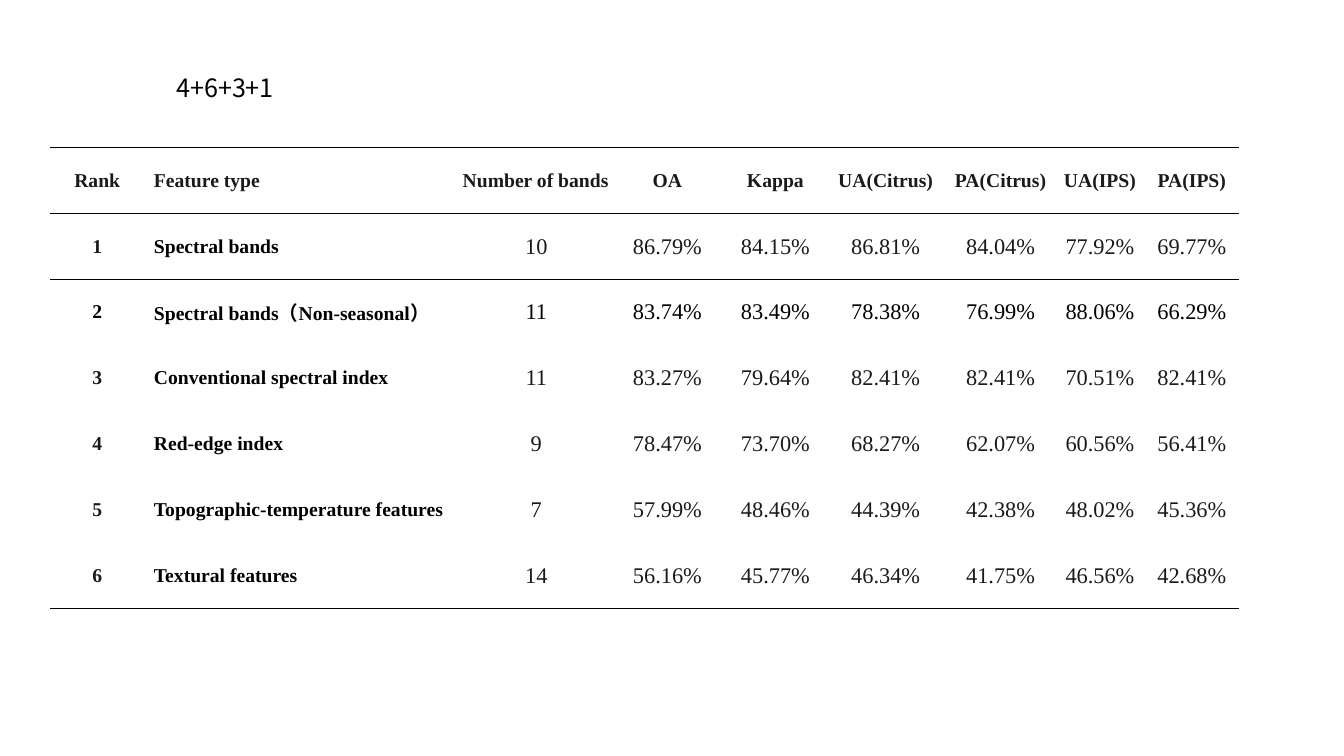
"""Build the slide that ranks feature types by classification accuracy."""
from lxml import etree
from pptx import Presentation
from pptx.dml.color import RGBColor
from pptx.enum.text import MSO_ANCHOR, PP_ALIGN
from pptx.oxml.ns import qn
from pptx.util import Cm, Pt

MIDDLE = MSO_ANCHOR.MIDDLE
LEFT, CENTER = PP_ALIGN.LEFT, PP_ALIGN.CENTER
SERIF, SANS = "Times New Roman", "Noto Sans CJK SC"
BLACK, DARK = "000000", "1A1A1A"
NO_STYLE = "{2D5ABB26-0587-4C30-8999-92F81FD0307C}"

COL_WIDTHS = [2.36, 8.03, 3.71, 2.9, 2.54, 3.02, 2.77, 2.24, 2.39]
ROW_HEIGHT = 1.66
FEATURE_COL, BANDS_COL = 1, 2
BLACK_ROW = 2
ROWS = [
    ["Rank", "Feature type", "Number of bands", "OA", "Kappa",
     "UA(Citrus)", "PA(Citrus)", "UA(IPS)", "PA(IPS)"],
    ["1", "Spectral bands", "10", "86.79%", "84.15%",
     "86.81%", "84.04%", "77.92%", "69.77%"],
    ["2", "Spectral bands（Non-seasonal）", "11", "83.74%", "83.49%",
     "78.38%", "76.99%", "88.06%", "66.29%"],
    ["3", "Conventional spectral index", "11", "83.27%", "79.64%",
     "82.41%", "82.41%", "70.51%", "82.41%"],
    ["4", "Red-edge index", "9", "78.47%", "73.70%",
     "68.27%", "62.07%", "60.56%", "56.41%"],
    ["5", "Topographic-temperature features", "7", "57.99%", "48.46%",
     "44.39%", "42.38%", "48.02%", "45.36%"],
    ["6", "Textural features", "14", "56.16%", "45.77%",
     "46.34%", "41.75%", "46.56%", "42.68%"],
]


def rgb(value):
    """Return the colour for a hex string."""
    return RGBColor.from_string(value)


def add_run(p, text, size, font, color, bold=False):
    """Add one formatted run to a paragraph."""
    r = p.add_run()
    r.text = text
    r.font.size = Pt(size)
    r.font.name = font
    r.font.bold = bold
    r.font.color.rgb = rgb(color)


def add_text(s, x, y, w, h, text):
    """Add a text box holding one line."""
    tf = s.shapes.add_textbox(Cm(x), Cm(y), Cm(w), Cm(h)).text_frame
    tf.word_wrap = True
    add_run(tf.paragraphs[0], text, 18, SANS, BLACK)


def add_rule(cell, side):
    """Draw a thin black border on one side of a cell."""
    ln = etree.SubElement(cell._tc.get_or_add_tcPr(), qn(f"a:{side}"),
                          w=str(Pt(1)))
    fill = etree.SubElement(ln, qn("a:solidFill"))
    etree.SubElement(fill, qn("a:srgbClr"), val=BLACK)


def fill_cell(cell, row, col, text):
    """Write and format one table cell according to its place."""
    header, feature = row == 0, col == FEATURE_COL
    bold = header or col <= FEATURE_COL
    black = row == BLACK_ROW or (feature and not header)
    cell.vertical_anchor = MIDDLE
    cell.margin_top = cell.margin_bottom = Cm(0)
    cell.margin_left = cell.margin_right = Cm(0.25 if feature else 0)
    if row <= 1:
        add_rule(cell, "lnT")
    if row in (0, len(ROWS) - 1):
        add_rule(cell, "lnB")
    cell.fill.background()
    p = cell.text_frame.paragraphs[0]
    p.alignment = LEFT if feature or (header and col == BANDS_COL) else CENTER
    add_run(p, text, 14 if bold else 16, SERIF, BLACK if black else DARK, bold)


def add_accuracy_table(s, x, y):
    """Add the ranking table with its three horizontal rules."""
    frame = s.shapes.add_table(len(ROWS), len(COL_WIDTHS), Cm(x), Cm(y),
                               Cm(sum(COL_WIDTHS)), Cm(ROW_HEIGHT * len(ROWS)))
    table = frame.table
    table.first_row = table.horz_banding = False
    table._tbl.tblPr.find(qn("a:tableStyleId")).text = NO_STYLE
    for column, width in zip(table.columns, COL_WIDTHS):
        column.width = Cm(width)
    for i, texts in enumerate(ROWS):
        table.rows[i].height = Cm(ROW_HEIGHT)
        for j, text in enumerate(texts):
            fill_cell(table.cell(i, j), i, j, text)


def main():
    """Build and save the slide."""
    prs = Presentation()
    prs.slide_width, prs.slide_height = Cm(33.87), Cm(19.05)
    s = prs.slides.add_slide(prs.slide_layouts[6])
    add_accuracy_table(s, 1.27, 3.72)
    add_text(s, 4.19, 1.7, 19.48, 1.02, "4+6+3+1")
    prs.save("out.pptx")


if __name__ == "__main__":
    main()
